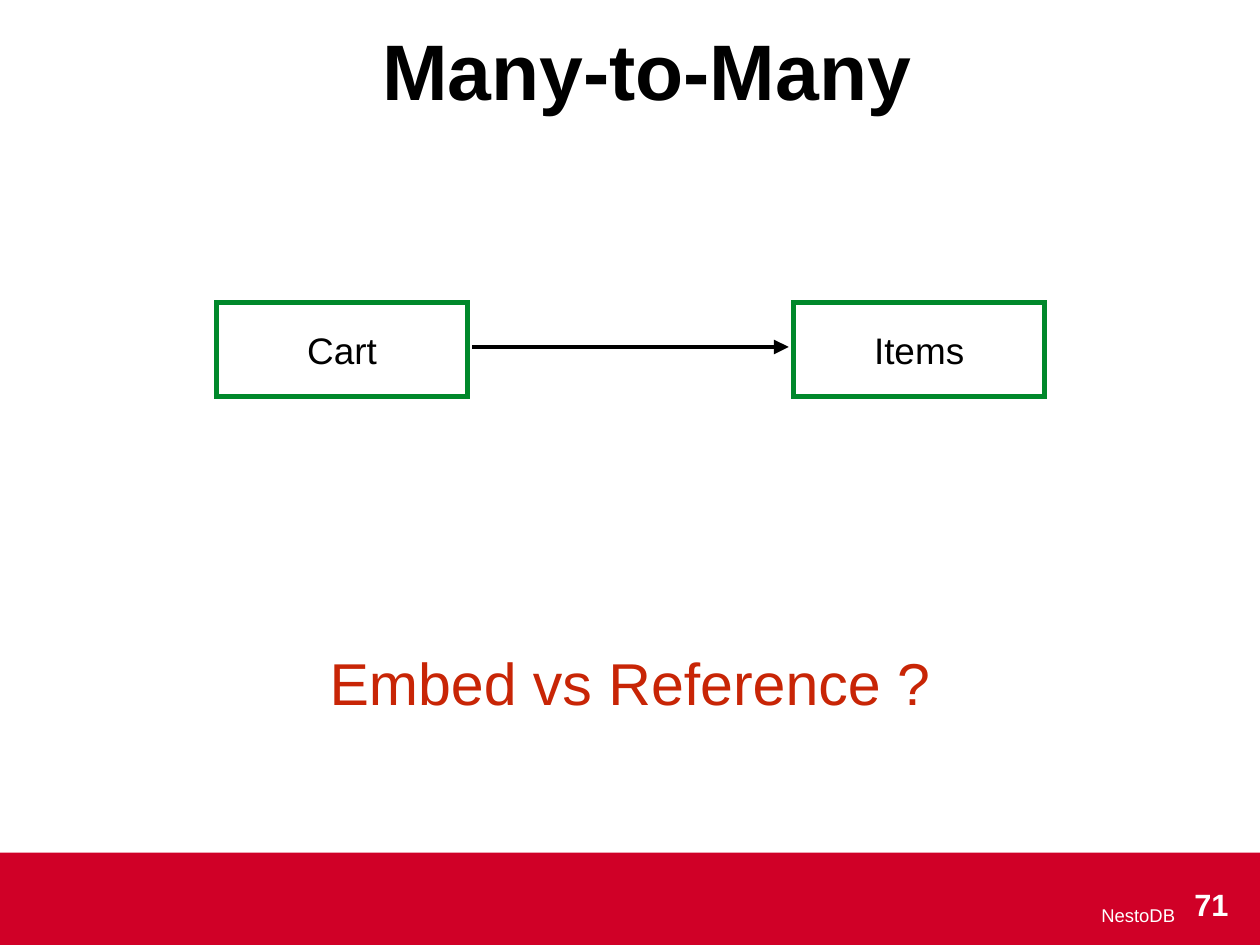
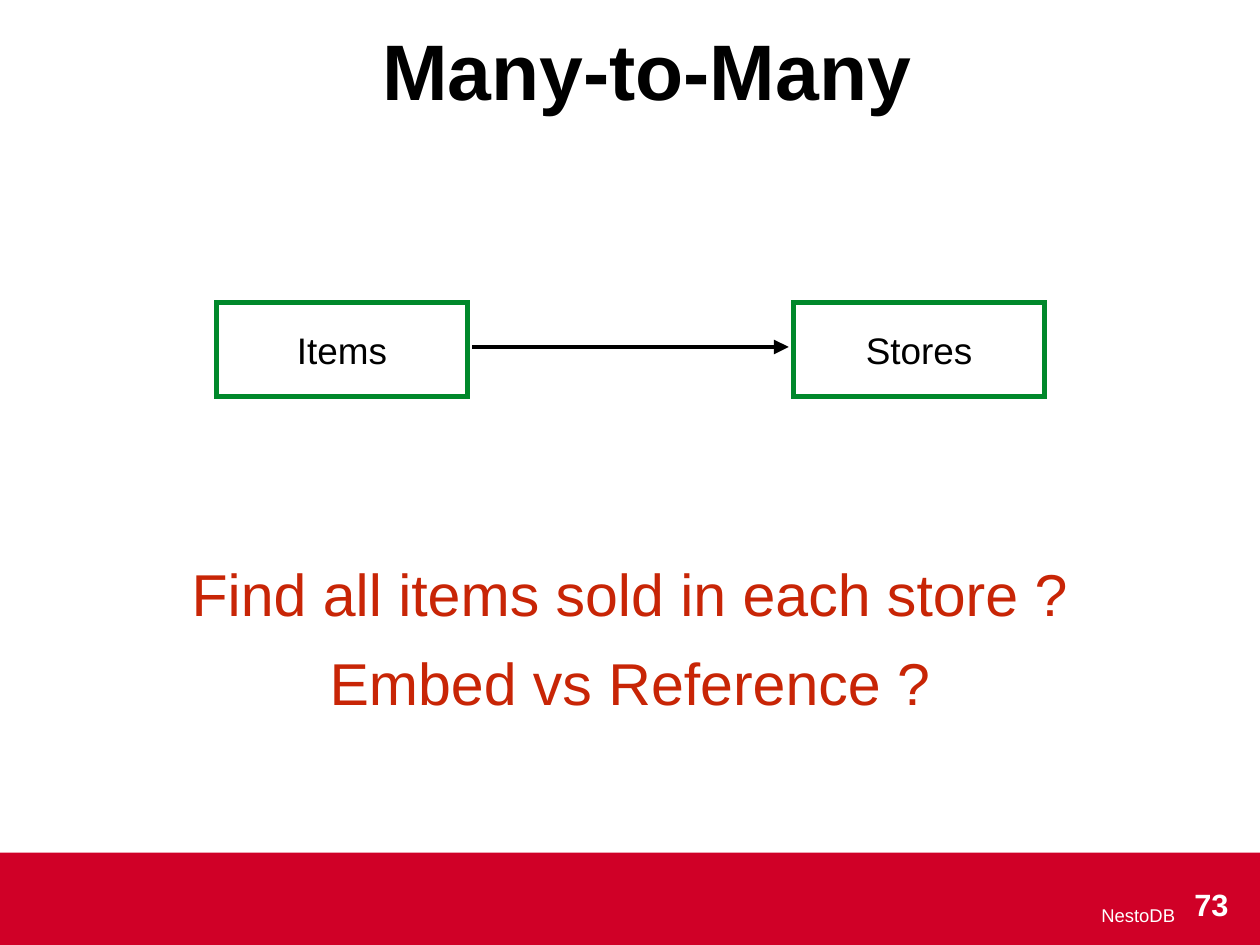
import pptx
import pptx.util
import pptx.dml.color
import pptx.enum.shapes
import pptx.enum.text
import pptx.oxml.ns
import lxml.etree

RGBColor = pptx.dml.color.RGBColor
RED = RGBColor(0xD0, 0x00, 0x27)
GREEN = RGBColor(0x00, 0x88, 0x2B)
ORANGE = RGBColor(0xC8, 0x25, 0x06)
BLACK = RGBColor(0x00, 0x00, 0x00)
WHITE = RGBColor(0xFF, 0xFF, 0xFF)

ALIGN = pptx.enum.text.PP_ALIGN
ANCHOR = pptx.enum.text.MSO_ANCHOR
RECTANGLE = pptx.enum.shapes.MSO_SHAPE.RECTANGLE

FONT = "Arial"
SCALE = 12700  # EMU per px
WIDTH, HEIGHT = 1024, 768
INSET = 4
LINE = 4


def px(*lengths):
    return [pptx.util.Emu(n * SCALE) for n in lengths]


def add_xml(parent, tag, **attributes):
    lxml.etree.SubElement(parent, pptx.oxml.ns.qn(tag), **attributes)


def write(sp, text, size=30, color=BLACK, bold=False, align=ALIGN.CENTER,
          anchor=ANCHOR.MIDDLE, wrap=True, indent=0):
    tf = sp.text_frame
    tf.auto_size = pptx.enum.text.MSO_AUTO_SIZE.NONE
    tf.word_wrap = wrap
    tf.vertical_anchor = anchor
    tf.margin_left = tf.margin_right = tf.margin_top = tf.margin_bottom = px(INSET)[0]
    p = tf.paragraphs[0]
    p.alignment = align
    if indent:
        p._p.get_or_add_pPr().set("indent", str(indent * SCALE))
    r = p.add_run()
    r.text = text
    r.font.name = FONT
    r.font.size = pptx.util.Pt(size)
    r.font.bold = bold
    r.font.color.rgb = color


class Deck:
    BOX_TOP, BOX_W, BOX_H = 246, 204, 76
    BOX_LEFTS = 176, 645
    ARROW_Y, ARROW_GAP = 282, 4
    LAST_QUESTION_TOP, QUESTION_H, QUESTION_STEP = 524, 61, 73

    def __init__(self):
        self.prs = pptx.Presentation()
        self.prs.slide_width, self.prs.slide_height = px(WIDTH, HEIGHT)

    def slide(self, title, number):
        self.s = self.prs.slides.add_slide(self.prs.slide_layouts[5])
        self.footer(number)
        sp = self.s.shapes.title
        sp.left, sp.top, sp.width, sp.height = px(0, 16, WIDTH, 80)
        write(sp, title, size=64, bold=True, indent=27)

    def rect(self, x, y, w, h, fill=None, line=None):
        sp = self.s.shapes.add_shape(RECTANGLE, *px(x, y, w, h))
        sp.shadow.inherit = False
        if fill is None:
            sp.fill.background()
        else:
            sp.fill.solid()
            sp.fill.fore_color.rgb = fill
        if line is None:
            sp.line.fill.background()
        else:
            sp.line.color.rgb = line
            sp.line.width = pptx.util.Pt(LINE)
            add_xml(sp.line._get_or_add_ln(), "a:miter", lim="400000")
        return sp

    def text(self, x, y, w, h, text, **fmt):
        write(self.s.shapes.add_textbox(*px(x, y, w, h)), text, **fmt)

    def footer(self, number):
        self.rect(0, 693, WIDTH, HEIGHT - 693, fill=RED)
        self.text(359, 719, 600, 49, "NestoDB", size=15, color=WHITE,
                  align=ALIGN.RIGHT)
        self.text(966, 716, 37, 36, str(number), size=25, color=WHITE,
                  bold=True, anchor=ANCHOR.TOP, wrap=False)

    def arrow(self, x1, x2, y):
        cn = self.s.shapes.add_connector(
            pptx.enum.shapes.MSO_CONNECTOR.STRAIGHT, *px(x1, y, x2, y))
        cn.line.color.rgb = BLACK
        cn.line.width = pptx.util.Pt(LINE)
        add_xml(cn.line._get_or_add_ln(), "a:tailEnd", type="triangle")
        add_xml(cn._element.spPr, "a:effectLst")

    def relation(self, *names):
        for x, name in zip(self.BOX_LEFTS, names):
            write(self.rect(x, self.BOX_TOP, self.BOX_W, self.BOX_H, line=GREEN), name)
        left, right = self.BOX_LEFTS
        self.arrow(left + self.BOX_W + self.ARROW_GAP, right - self.ARROW_GAP,
                   self.ARROW_Y)

    def questions(self, *lines):
        # The last question keeps its place; earlier ones stack above it
        first = self.LAST_QUESTION_TOP - (len(lines) - 1) * self.QUESTION_STEP
        for i, line in enumerate(lines):
            self.text(0, first + i * self.QUESTION_STEP, WIDTH, self.QUESTION_H,
                      line, size=48, color=ORANGE)


def main():
    deck = Deck()

    # Cart to items
    deck.slide("Many-to-Many", 71)
    deck.relation("Cart", "Items")
    deck.questions("Embed vs Reference ?")

    # Items to stores
    deck.slide("Many-to-Many", 73)
    deck.relation("Items", "Stores")
    deck.questions("Find all items sold in each store ?", "Embed vs Reference ?")

    deck.prs.save("out.pptx")


if __name__ == "__main__":
    main()
